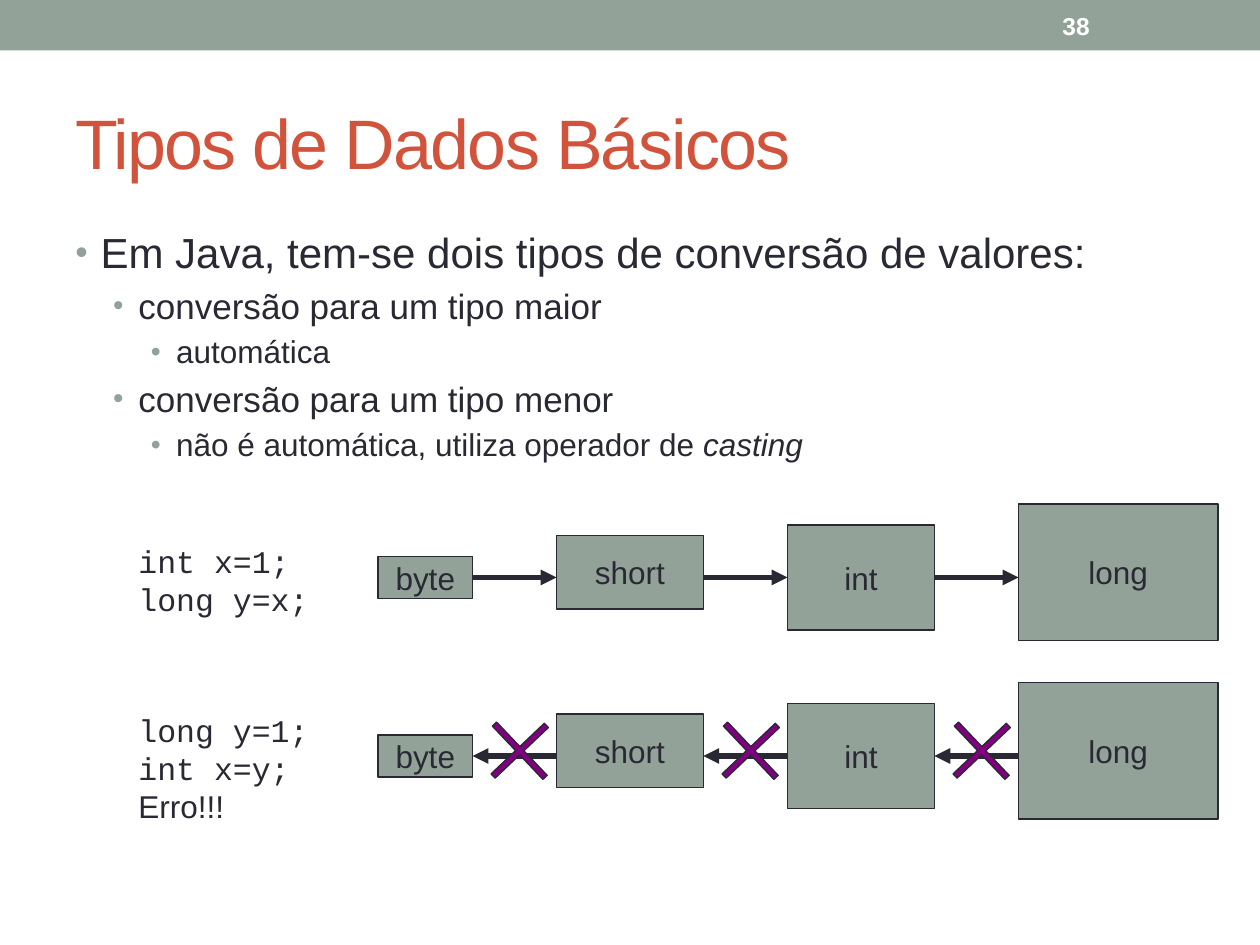
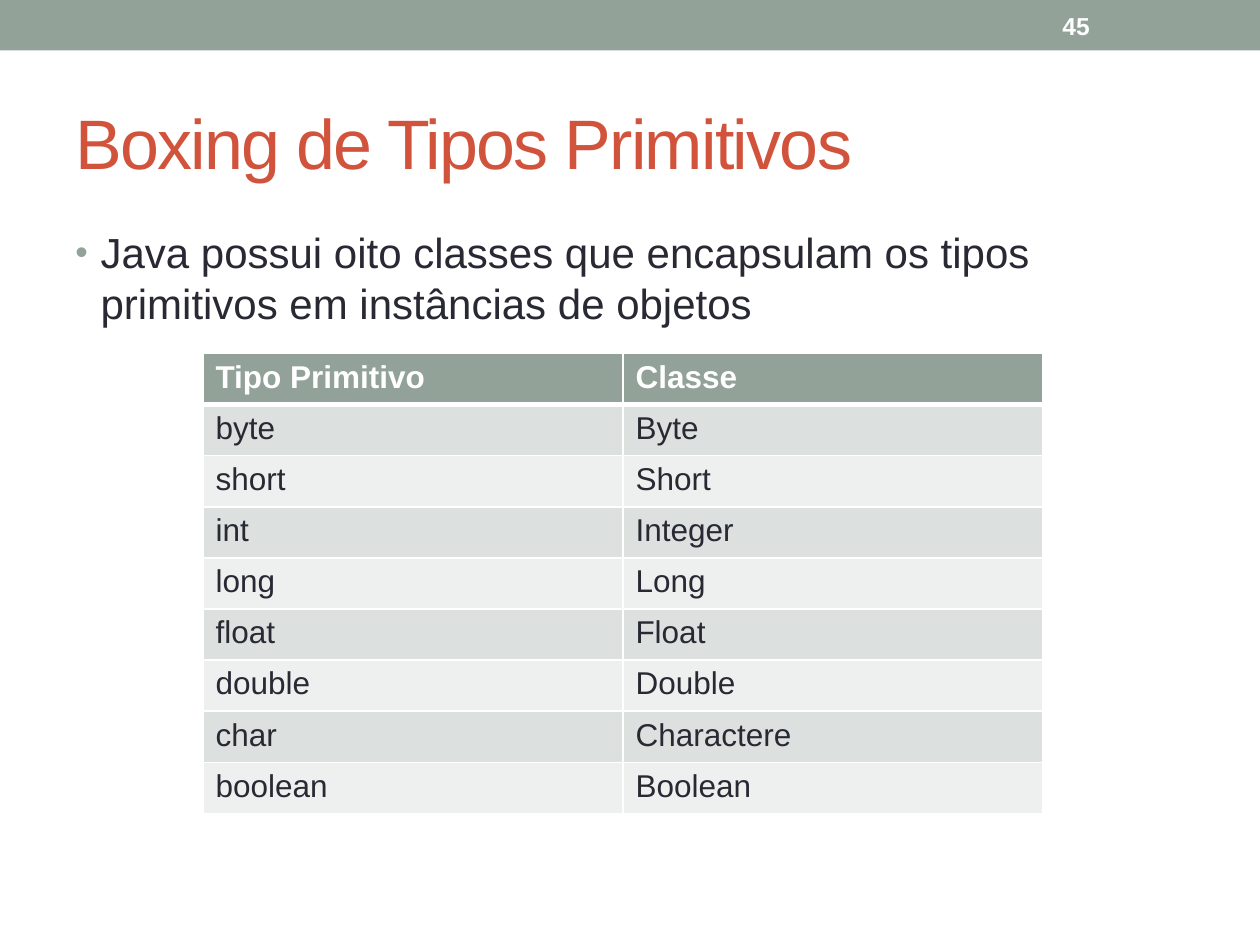
from lxml.etree import SubElement
from pptx import Presentation
from pptx.dml.color import RGBColor
from pptx.enum.shapes import MSO_CONNECTOR, MSO_SHAPE
from pptx.enum.text import MSO_ANCHOR, PP_ALIGN
from pptx.oxml.ns import qn
from pptx.util import Pt

SAGE = "93A299"
INK = "292934"
RUST = "D2533C"
WHITE = "FFFFFF"
PURPLE = "800080"
ROW_BANDS = ("DCE0DE", "EEF0EF")
SANS = "Arial"
MONO = "Courier New"
BULLET_LEVELS = ((14.4, 24, 85), (36, 20, 85), (57.6, 18, 90))
HANGING = 14.4

TYPE_BOXES = (
    ("byte", 0, 30, 54, 24),
    ("short", 102, 18, 84, 42),
    ("int", 234, 12, 84, 60),
    ("long", 366, 0, 114, 78),
)
ARROW_HEIGHT = 42
CROSS_SIZE = 42

WRAPPERS = (
    ("Tipo Primitivo", "Classe"),
    ("byte", "Byte"),
    ("short", "Short"),
    ("int", "Integer"),
    ("long", "Long"),
    ("float", "Float"),
    ("double", "Double"),
    ("char", "Charactere"),
    ("boolean", "Boolean"),
)


def color(value):
    return RGBColor.from_string(value)


def points(*values):
    return [Pt(value) for value in values]


def format_runs(paragraph, size, fill=INK, font=SANS, bold=False):
    for run in paragraph.runs:
        run.font.size = Pt(size)
        run.font.name = font
        run.font.bold = bold
        run.font.color.rgb = color(fill)


def add_text(slide, box, text, anchor=MSO_ANCHOR.TOP, wrap=True):
    text_frame = slide.shapes.add_textbox(*points(*box)).text_frame
    text_frame.word_wrap = wrap
    text_frame.vertical_anchor = anchor
    text_frame.text = text
    return text_frame


def add_filled(slide, kind, box, fill, outlined=True):
    shape = slide.shapes.add_shape(kind, *points(*box))
    shape.shadow.inherit = False
    shape.fill.solid()
    shape.fill.fore_color.rgb = color(fill)
    if outlined:
        shape.line.color.rgb = color(INK)
        shape.line.width = Pt(0.75)
    else:
        shape.line.fill.background()
    return shape


def add_base_slide(presentation, title, number):
    slide = presentation.slides.add_slide(presentation.slide_layouts[6])
    add_filled(slide, MSO_SHAPE.RECTANGLE, (0, 0, 720, 28.8), SAGE, outlined=False)
    heading = add_text(slide, (36, 42, 648, 78), title, MSO_ANCHOR.MIDDLE).paragraphs[0]
    format_runs(heading, 40, RUST)
    for run in heading.runs:
        run.font._element.set("spc", "-100")
    page = add_text(slide, (600, 1.5, 84, 26), str(number), MSO_ANCHOR.MIDDLE)
    format_runs(page.paragraphs[0], 14, WHITE, bold=True)
    return slide


def add_bullets(slide, box, items):
    text_frame = add_text(slide, box, "\n".join(text for level, text in items))
    for paragraph, (level, text) in zip(text_frame.paragraphs, items):
        indent, size, bullet_size = BULLET_LEVELS[level]
        format_runs(paragraph, size)
        paragraph.level = level
        paragraph.space_before = Pt(size * 0.2)
        properties = paragraph._p.get_or_add_pPr()
        properties.set("marL", str(Pt(indent)))
        properties.set("indent", str(-Pt(HANGING)))
        bullet_color = SubElement(properties, qn("a:buClr"))
        SubElement(bullet_color, qn("a:srgbClr"), val=SAGE)
        SubElement(properties, qn("a:buSzPct"), val=str(bullet_size * 1000))
        SubElement(properties, qn("a:buFont"), typeface=SANS)
        SubElement(properties, qn("a:buChar"), char="•")
    return text_frame


def add_code(slide, box, lines, message=None):
    text = "\n".join([*lines, message] if message else lines)
    text_frame = add_text(slide, box, text, wrap=False)
    for paragraph in text_frame.paragraphs:
        format_runs(paragraph, 18, font=SANS if paragraph.text == message else MONO)


def add_arrow(slide, start, end, arrow_end):
    connector = slide.shapes.add_connector(MSO_CONNECTOR.STRAIGHT, *points(*start, *end))
    connector.line.color.rgb = color(INK)
    connector.line.width = Pt(3)
    SubElement(connector.line._get_or_add_ln(), qn(f"a:{arrow_end}"), type="triangle")
    SubElement(connector._element.spPr, qn("a:effectLst"))
    return connector


def add_conversion_row(slide, left, top, allowed):
    shapes = []
    for name, x, y, width, height in TYPE_BOXES:
        shape = add_filled(slide, MSO_SHAPE.RECTANGLE, (left + x, top + y, width, height), SAGE)
        text_frame = shape.text_frame
        text_frame.word_wrap = False
        text_frame.vertical_anchor = MSO_ANCHOR.MIDDLE
        text_frame.text = name
        text_frame.paragraphs[0].alignment = PP_ALIGN.CENTER
        format_runs(text_frame.paragraphs[0], 18)
        shapes.append(shape)

    axis = top + ARROW_HEIGHT
    for index, (smaller, larger) in enumerate(zip(TYPE_BOXES, TYPE_BOXES[1:])):
        start = left + smaller[1] + smaller[3]
        end = left + larger[1]
        connector = add_arrow(slide, (start, axis), (end, axis), "tailEnd" if allowed else "headEnd")
        if smaller[2] + smaller[4] / 2 == ARROW_HEIGHT:
            connector.begin_connect(shapes[index], 3)
        if larger[2] + larger[4] / 2 == ARROW_HEIGHT:
            connector.end_connect(shapes[index + 1], 1)

    if not allowed:
        for name, x, *rest in TYPE_BOXES[1:]:
            box = (left + x - CROSS_SIZE, top + 18, CROSS_SIZE, CROSS_SIZE)
            cross = add_filled(slide, MSO_SHAPE.CROSS, box, PURPLE)
            cross.adjustments[0] = 0.46
            cross.rotation = 46.5


def add_cell_borders(cell, bottom_width):
    properties = cell._tc.get_or_add_tcPr()
    widths = (("lnL", 1), ("lnR", 1), ("lnT", 1), ("lnB", bottom_width))
    for position, (side, width) in enumerate(widths):
        border = SubElement(properties, qn(f"a:{side}"), w=str(Pt(width)))
        fill = SubElement(border, qn("a:solidFill"))
        SubElement(fill, qn("a:srgbClr"), val=WHITE)
        properties.insert(position, border)


def add_wrapper_table(slide, left, top, width, row_height):
    row_count, column_count = len(WRAPPERS), len(WRAPPERS[0])
    box = points(left, top, width, row_height * row_count)
    table = slide.shapes.add_table(row_count, column_count, *box).table
    for row_index, values in enumerate(WRAPPERS):
        header = row_index == 0
        table.rows[row_index].height = Pt(row_height)
        for column_index, value in enumerate(values):
            cell = table.cell(row_index, column_index)
            cell.fill.solid()
            cell.fill.fore_color.rgb = color(SAGE if header else ROW_BANDS[(row_index - 1) % 2])
            cell.text_frame.text = value
            format_runs(cell.text_frame.paragraphs[0], 18, WHITE if header else INK, bold=header)
            add_cell_borders(cell, 3 if header else 1)


def build_conversion_slide(presentation):
    slide = add_base_slide(presentation, "Tipos de Dados Básicos", 38)
    bullets = add_bullets(slide, (36, 126, 648, 161), (
        (0, "Em Java, tem-se dois tipos de conversão de valores:"),
        (1, "conversão para um tipo maior"),
        (2, "automática"),
        (1, "conversão para um tipo menor"),
        (2, "não é automática, utiliza operador de "),
    ))
    casting = bullets.paragraphs[-1].add_run()
    casting.text = "casting"
    format_runs(bullets.paragraphs[-1], 18)
    casting.font.italic = True
    add_conversion_row(slide, 216, 288, allowed=True)
    add_conversion_row(slide, 216, 390, allowed=False)
    add_code(slide, (72, 306, 112, 51), ("int x=1;", "long y=x;"))
    add_code(slide, (72, 403, 112, 73), ("long y=1;", "int x=y;"), "Erro!!!")


def build_boxing_slide(presentation):
    slide = add_base_slide(presentation, "Boxing de Tipos Primitivos", 45)
    add_bullets(slide, (36, 126, 648, 384), (
        (0, "Java possui oito classes que encapsulam os tipos primitivos em instâncias de objetos"),
    ))
    add_wrapper_table(slide, 116, 202, 480, 29.2)


def main():
    presentation = Presentation()
    presentation.slide_width, presentation.slide_height = points(720, 540)
    build_conversion_slide(presentation)
    build_boxing_slide(presentation)
    presentation.save("out.pptx")


if __name__ == "__main__":
    main()
